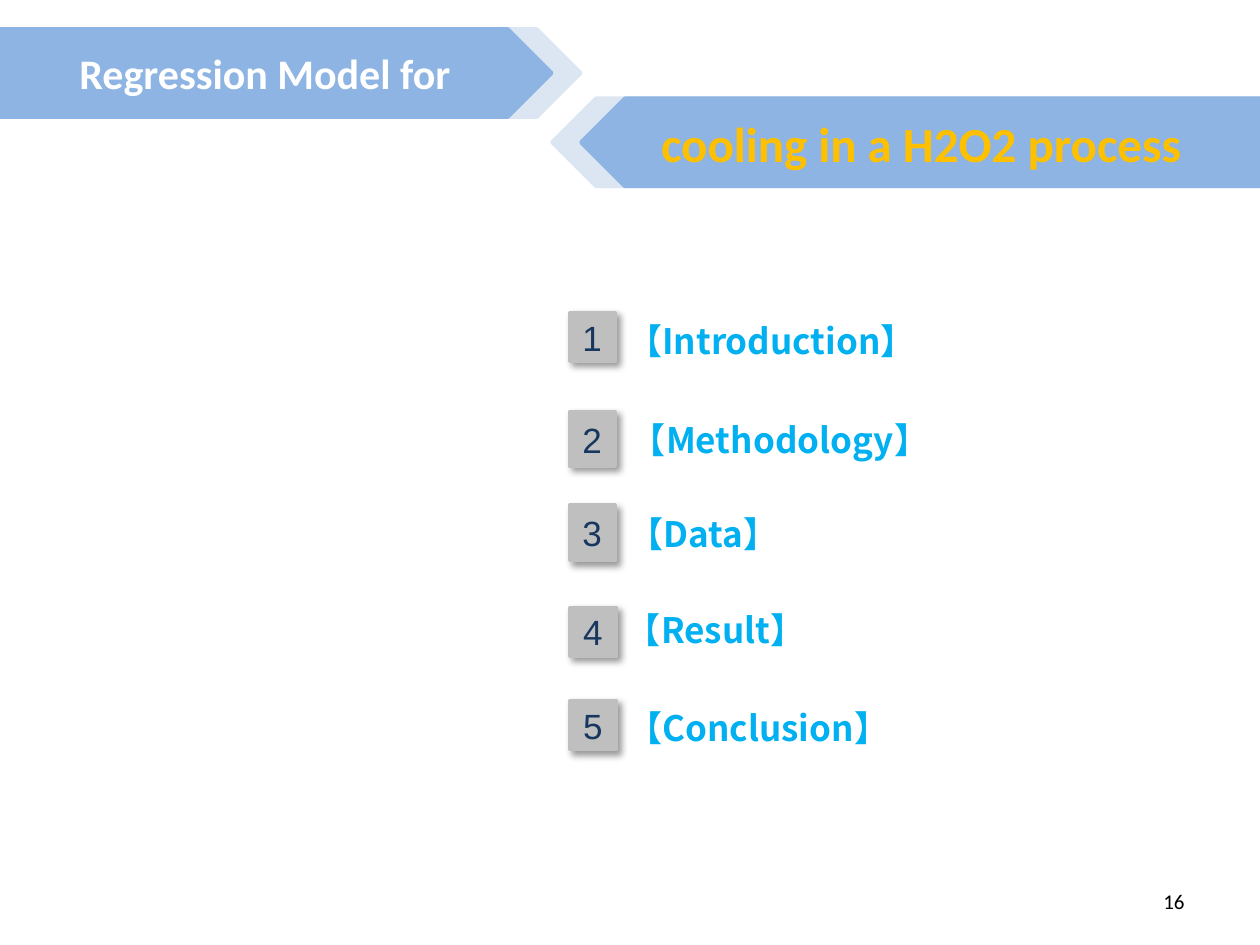
import pptx
import pptx.util
import pptx.dml.color
import pptx.enum.shapes
import pptx.enum.text
import pptx.oxml
import pptx.oxml.ns

Inches, Pt = pptx.util.Inches, pptx.util.Pt
SHAPE = pptx.enum.shapes.MSO_SHAPE
ALIGN = pptx.enum.text.PP_ALIGN
ANCHOR = pptx.enum.text.MSO_ANCHOR

# Content
LEAD = "Regression Model for"
TITLE = "cooling in a H2O2 process"
PAGE = "16"
# name, tile (left, top, width, height), label (left, top)
TOPICS = [
    ("Introduction", (4.52, 2.48, 0.36, 0.39), (4.88, 2.49)),
    ("Methodology", (4.52, 3.27, 0.36, 0.43), (4.91, 3.27)),
    ("Data", (4.52, 4.01, 0.36, 0.44), (4.89, 4.02)),
    ("Result", (4.52, 4.82, 0.37, 0.39), (4.87, 4.78)),
    ("Conclusion", (4.52, 5.56, 0.37, 0.39), (4.88, 5.56)),
]
COLOR = {
    "pale": "DCE6F2", "blue": "8EB4E3", "white": "FFFFFF", "gold": "FFC000",
    "tile": "BFBFBF", "navy": "17375E", "cyan": "00B0F0", "black": "000000",
}
WIDE, TALL = 10, 7.5
BAND, TIP, STEP = 0.7, 4.61, 0.23  # band height, front tip, offset of pale tip

SHADOW = (
    f'<a:effectLst {pptx.oxml.ns.nsdecls("a")}>'
    '<a:outerShdw blurRad="50800" dist="38100" dir="2700000" algn="tl" rotWithShape="0">'
    f'<a:srgbClr val="{COLOR["black"]}"><a:alpha val="40000"/></a:srgbClr>'
    '</a:outerShdw></a:effectLst>'
)


def paint(name):
    return pptx.dml.color.RGBColor.from_string(COLOR[name])


def write(shape, text, size, face, color, bold=False, align=ALIGN.LEFT,
          anchor=ANCHOR.TOP, wrap=True):
    frame = shape.text_frame
    frame.text = text
    frame.word_wrap = wrap
    frame.vertical_anchor = anchor
    para = frame.paragraphs[0]
    para.alignment = align
    font = para.font
    font.size, font.name, font.bold = Pt(size), face, bold
    font.color.rgb = paint(color)
    return frame


def block(slide, kind, box, color):
    shape = slide.shapes.add_shape(kind, *map(Inches, box))
    shape.shadow.inherit = False
    shape.fill.solid()
    shape.fill.fore_color.rgb = paint(color)
    shape.line.color.rgb = paint(color)
    shape.line.width = Pt(2)
    return shape


def label(slide, box):
    return slide.shapes.add_textbox(*map(Inches, box))


def main():
    deck = pptx.Presentation()
    deck.slide_width, deck.slide_height = Inches(WIDE), Inches(TALL)
    slide = deck.slides.add_slide(deck.slide_layouts[5])

    # Upper band, pointing right
    for width, color in ((TIP, "pale"), (TIP - STEP, "blue")):
        band = block(slide, SHAPE.PENTAGON, (0, 0.23, width, BAND), color)
    write(band, LEAD, 24, "Calibri", "white", True, ALIGN.CENTER, ANCHOR.MIDDLE)

    # Lower band, pointing left
    for left, color in ((TIP - STEP, "pale"), (TIP, "blue")):
        band = block(slide, SHAPE.PENTAGON, (left, 0.78, WIDE - left, BAND), color)
        band._element.spPr.xfrm.set("flipH", "1")

    # Title, brought in front of the bands
    title = slide.shapes.title
    title.left, title.top, title.width, title.height = map(
        Inches, (5.12, 0.85, 4.38, 0.57))
    write(title, TITLE, 28, "Calibri", "gold", True, ALIGN.CENTER, wrap=False)
    slide.shapes._spTree.append(title._element)

    # Numbered topics
    for num, (name, tile, spot) in enumerate(TOPICS, 1):
        box = block(slide, SHAPE.RECTANGLE, tile, "tile")
        props = box._element.spPr
        props.remove(props.find(pptx.oxml.ns.qn("a:effectLst")))
        props.append(pptx.oxml.parse_xml(SHADOW))
        frame = write(box, str(num), 20, "Arial", "navy", False,
                      ALIGN.CENTER, ANCHOR.MIDDLE)
        frame.margin_left = frame.margin_right = 0

        text = label(slide, (*spot, 5.4, 0.44))
        frame = write(text, f"【{name}】", 20, "Noto Sans CJK SC", "cyan", True)
        # East Asian face for the brackets
        for latin in frame._txBody.findall(".//" + pptx.oxml.ns.qn("a:latin")):
            latin.addnext(pptx.oxml.parse_xml(
                f'<a:ea {pptx.oxml.ns.nsdecls("a")} typeface="Noto Sans CJK SC"/>'))

    # Page number
    write(label(slide, (7.17, 6.95, 2.33, 0.4)), PAGE, 12, "Calibri", "black",
          align=ALIGN.RIGHT, anchor=ANCHOR.MIDDLE)

    deck.save("out.pptx")


if __name__ == "__main__":
    main()
